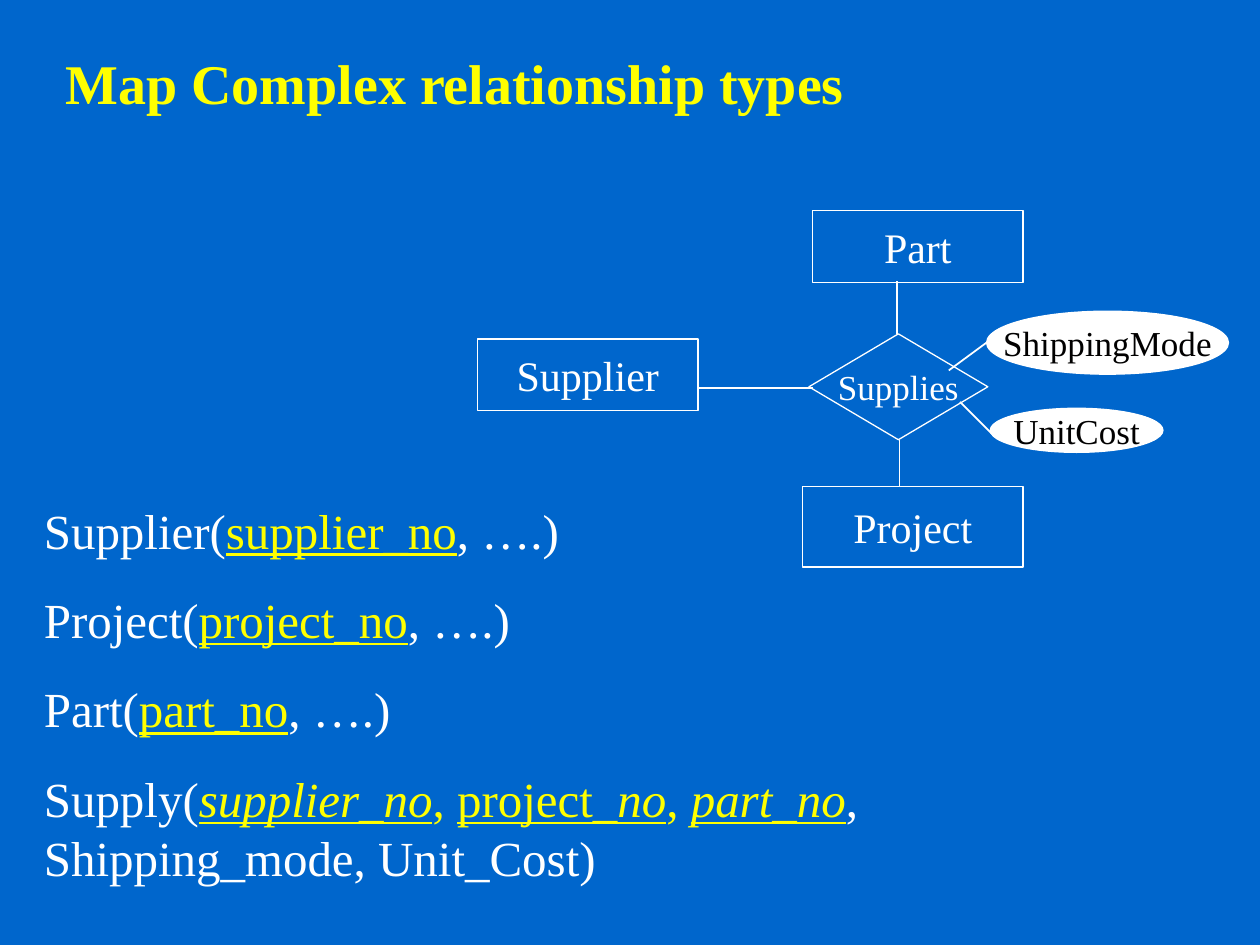
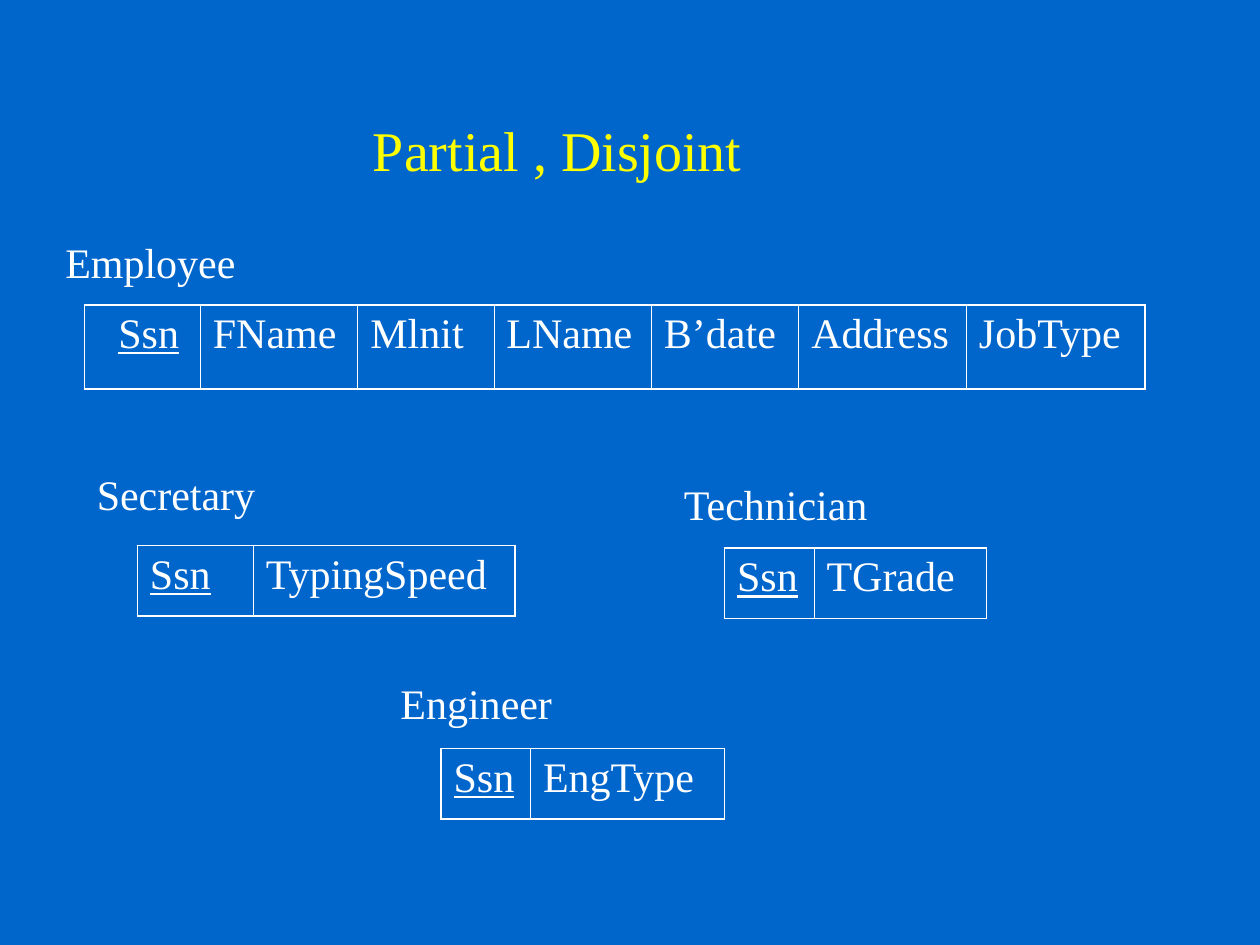
from lxml import etree
from pptx import Presentation
from pptx import util as u
from pptx.dml.color import RGBColor
from pptx.enum import shapes, text
from pptx.oxml.ns import qn

PX = 9144  # EMU per px, 100 px to the inch
FONT = "Times New Roman"
COLORS = {"back": "0066CC", "white": "FFFFFF", "key": "FFFF00", "ink": "010000"}
OUTER, INNER = 1.08, 0.45  # table rules in points


def px(*lengths):
    return [u.Emu(length * PX) for length in lengths]


def rgb(name):
    return RGBColor.from_string(COLORS[name])


def add_run(paragraph, words, size, color="white", bold=False, italic=False, underline=False):
    run = paragraph.add_run()
    run.text = words
    font = run.font
    font.name, font.size, font.color.rgb = FONT, u.Pt(size), rgb(color)
    font.bold, font.italic, font.underline = bold, italic, underline


def add_title(slide, words, bold=False, left=10, bottom=5):
    title = slide.shapes.title
    title.left, title.top, title.width, title.height = px(42, 29, 850, 121)
    frame = title.text_frame
    frame.auto_size = text.MSO_AUTO_SIZE.NONE
    frame.vertical_anchor = text.MSO_ANCHOR.BOTTOM
    frame.margin_left, frame.margin_bottom = px(left, bottom)
    paragraph = frame.paragraphs[0]
    paragraph.alignment = text.PP_ALIGN.LEFT
    add_run(paragraph, words, 32, "key", bold)


def add_text_box(slide, box):
    frame = slide.shapes.add_textbox(*px(*box)).text_frame
    frame.word_wrap = True
    return frame


def add_node(slide, kind, box, label, size=24, filled=False):
    node = slide.shapes.add_shape(kind, *px(*box))
    node.shadow.inherit = False
    if filled:
        node.fill.solid()
        node.fill.fore_color.rgb = rgb("white")
    else:
        node.fill.background()
    node.line.color.rgb = rgb("white")
    node.line.width = u.Pt(0.75)
    frame = node.text_frame
    frame.word_wrap = False
    frame.vertical_anchor = text.MSO_ANCHOR.MIDDLE
    paragraph = frame.paragraphs[0]
    paragraph.alignment = text.PP_ALIGN.CENTER
    add_run(paragraph, label, size, "ink" if filled else "white")


def add_link(slide, ends, width):
    link = slide.shapes.add_connector(shapes.MSO_CONNECTOR.STRAIGHT, *px(*ends))
    link.line.color.rgb = rgb("white")
    link.line.width = u.Pt(width)
    etree.SubElement(link._element.spPr, qn("a:effectLst"))


def set_borders(cell, first, last):
    properties = cell._tc.get_or_add_tcPr()
    widths = {"L": OUTER if first else INNER, "R": OUTER if last else INNER,
              "T": OUTER, "B": OUTER}
    for side, width in widths.items():
        rule = etree.SubElement(properties, qn(f"a:ln{side}"), w=str(u.Pt(width)))
        fill = etree.SubElement(rule, qn("a:solidFill"))
        etree.SubElement(fill, qn("a:srgbClr"), val=COLORS["white"])


def add_relation(slide, name, name_box, left, top, height, columns, key_indent=10):
    """A relation's name above its one-row table; the first column is the key."""
    add_run(add_text_box(slide, name_box).paragraphs[0], name, 24)
    width = sum(column_width for _, column_width in columns)
    table = slide.shapes.add_table(1, len(columns), *px(left, top, width, height)).table
    table.first_row = table.horz_banding = False
    for index, (attribute, column_width) in enumerate(columns):
        is_key = index == 0
        table.columns[index].width = px(column_width)[0]
        cell = table.cell(0, index)
        set_borders(cell, is_key, index == len(columns) - 1)
        cell.fill.background()
        cell.margin_left = px(key_indent if is_key else 10)[0]
        add_run(cell.text_frame.paragraphs[0], attribute, 24, underline=is_key)


def add_schemas(slide, box, schemas):
    frame = add_text_box(slide, box)
    for index, schema in enumerate(schemas):
        paragraph = frame.paragraphs[0]
        if index:
            paragraph = frame.add_paragraph()
            paragraph.space_before = u.Pt(17.5)
        for words, style in schema:
            add_run(paragraph, words, 28, **style)


def build_complex_relationship(slide):
    add_link(slide, (787, 269, 753, 294), 1)
    add_title(slide, "Map Complex relationship types", bold=True, bottom=58)

    # Entities, relationship and its attributes
    kinds = shapes.MSO_SHAPE
    add_node(slide, kinds.RECTANGLE, (645, 167, 167, 57), "Part")
    add_node(slide, kinds.RECTANGLE, (637, 386, 175, 64), "Project")
    add_link(slide, (712, 265, 712, 223), 0.75)
    add_link(slide, (714, 349, 714, 386), 0.5)
    add_node(slide, kinds.OVAL, (783, 247, 192, 50), "ShippingMode", 20, filled=True)
    add_node(slide, kinds.OVAL, (786, 324, 137, 35), "UnitCost", 20, filled=True)
    add_link(slide, (762, 319, 787, 344), 1)
    add_node(slide, kinds.DIAMOND, (642, 265, 142, 84), "Supplies", 20)
    add_node(slide, kinds.RECTANGLE, (379, 269, 175, 57), "Supplier")
    add_link(slide, (645, 308, 553, 308), 1)

    # Resulting relation schemas
    plain, comma = {}, (", ", {"color": "key"})
    key = {"color": "key", "underline": True}
    foreign = {**key, "italic": True}
    schemas = [[(f"{name}(", plain), (f"{name.lower()}_no", key), (", ….)", plain)]
               for name in ("Supplier", "Project", "Part")]
    schemas.append([("Supply(", plain), ("supplier_no", foreign), comma,
                    ("project", key), ("_no", foreign), comma,
                    ("part_no", foreign), (", Shipping_mode, Unit_Cost)", plain)])
    add_schemas(slide, (25, 392, 783, 317), schemas)


def build_partial_disjoint(slide):
    add_title(slide, "Partial , Disjoint", left=254)

    # Superclass
    add_relation(slide, "Employee", (42, 183, 233, 50), 67, 242, 67,
                 [("Ssn", 92), ("FName", 125), ("Mlnit", 108), ("LName", 125),
                  ("B’date", 117), ("Address", 133), ("JobType", 142)], key_indent=27)

    # Subclasses
    for name, left, top, table_top, key_width, attribute, width in (
            ("Secretary", 67, 367, 433, 92, "TypingSpeed", 208),
            ("Technician", 533, 375, 435, 71, "TGrade", 137),
            ("Engineer", 308, 533, 594, 71, "EngType", 154)):
        add_relation(slide, name, (left, top, 267, 50), left + 42, table_top, 56,
                     [("Ssn", key_width), (attribute, width)])


def main():
    deck = Presentation()
    deck.slide_width, deck.slide_height = px(1000, 750)
    background = deck.slide_master.background.fill
    background.solid()
    background.fore_color.rgb = rgb("back")
    title_only = deck.slide_layouts[5]
    for build in (build_complex_relationship, build_partial_disjoint):
        build(deck.slides.add_slide(title_only))
    deck.save("out.pptx")


if __name__ == "__main__":
    main()
